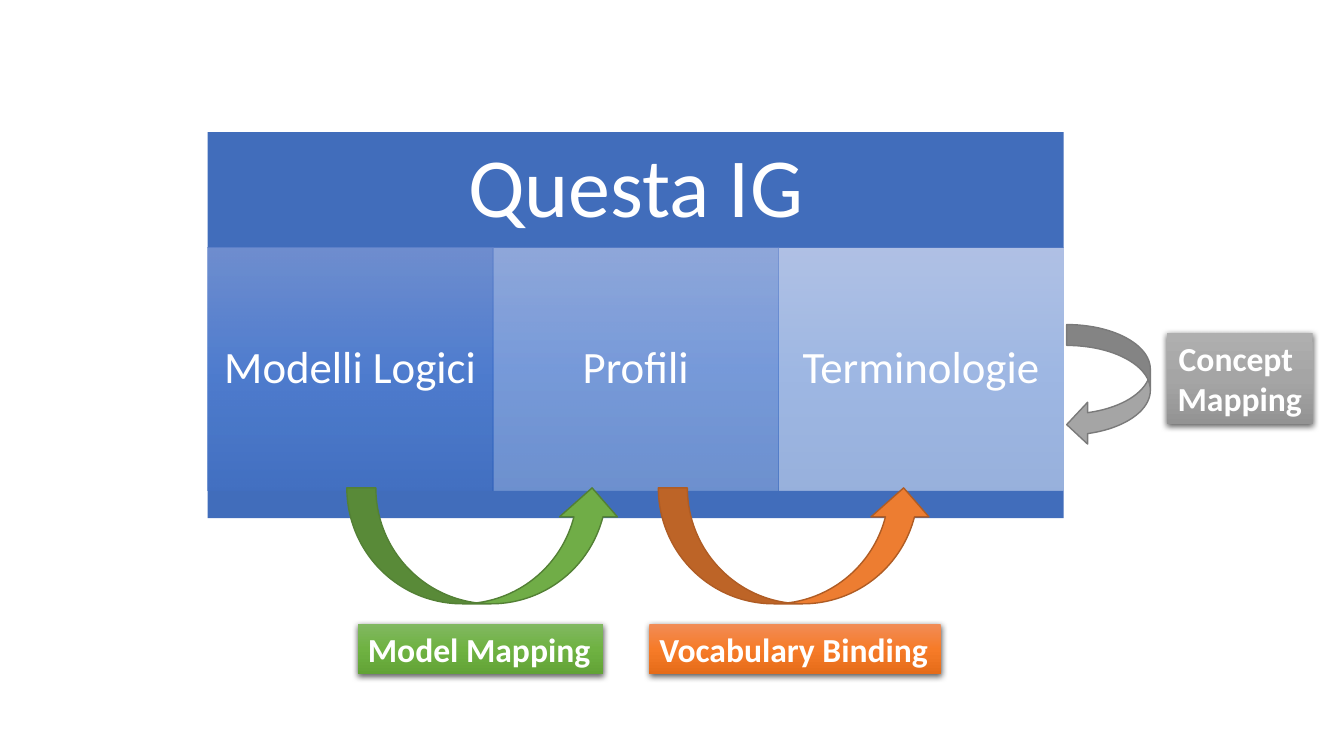
from dataclasses import dataclass

import pptx
import pptx.dml.color
import pptx.enum.shapes
import pptx.enum.text
import pptx.oxml
import pptx.oxml.ns
import pptx.shapes.autoshape
import pptx.util

PX = 9144  # EMU per px, 100 px to the inch
SHAPE = pptx.enum.shapes.MSO_SHAPE
ALIGN = pptx.enum.text.PP_ALIGN
ANCHOR = pptx.enum.text.MSO_ANCHOR
RGB = pptx.dml.color.RGBColor.from_string
Stops = tuple[str, str, str]
Box = tuple[int, int, int, int]


@dataclass(frozen=True)
class Theme:
    font: str = "Calibri"
    text: str = "FFFFFF"
    band: str = "416DBB"
    column: Stops = ("6183CB", "3E70CA", "3062BB")
    green: Stops = ("81B861", "6FB242", "62A336")
    orange: Stops = ("F18C57", "F67B28", "E56C19")
    gray: Stops = ("AFAFAF", "A5A5A5", "939393")
    title_size: int = 60
    column_size: int = 32
    label_size: int = 24


@dataclass(frozen=True)
class Column:
    text: str
    opacity: int


@dataclass(frozen=True)
class Arrow:
    kind: pptx.enum.shapes.MSO_SHAPE
    box: Box
    fill: str
    line: str


@dataclass(frozen=True)
class Label:
    text: str
    box: Box
    stops: Stops
    align: pptx.enum.text.PP_ALIGN = ALIGN.LEFT


THEME = Theme()
LEFT, TOP, COL_W = 206, 131, 283
TITLE_H, COL_H, BASE_H = 115, 241, 27

COLUMNS = [Column("Modelli Logici", 90), Column("Profili", 70), Column("Terminologie", 50)]
ARROWS = [
    Arrow(SHAPE.CURVED_UP_ARROW, (344, 484, 272, 115), "70AD47", "538035"),
    Arrow(SHAPE.CURVED_UP_ARROW, (653, 484, 272, 115), "ED7D31", "AF5C24"),
    Arrow(SHAPE.CURVED_LEFT_ARROW, (1058, 322, 83, 120), "A5A5A5", "7A7A7A"),
]
LABELS = [
    Label("Model Mapping", (355, 619, 243, 50), THEME.green),
    Label("Vocabulary Binding", (644, 619, 289, 50), THEME.orange),
    Label("Concept \nMapping", (1157, 330, 145, 91), THEME.gray, ALIGN.CENTER),
]


def add_shape(s: pptx.slide.Slide, kind: pptx.enum.shapes.MSO_SHAPE,
              box: Box) -> pptx.shapes.autoshape.Shape:
    sp = s.shapes.add_shape(kind, *(v * PX for v in box))
    sp.shadow.inherit = False
    sp.line.fill.background()
    return sp


def fill_solid(sp: pptx.shapes.autoshape.Shape, color: str) -> None:
    sp.fill.solid()
    sp.fill.fore_color.rgb = RGB(color)


def fill_gradient(sp: pptx.shapes.autoshape.Shape, stops: Stops, opacity: int = 100) -> None:
    sp.fill.gradient()
    sp.fill.gradient_angle = 270  # counter-clockwise: runs top to bottom
    stop_list = sp.element.spPr.find(".//" + pptx.oxml.ns.qn("a:gsLst"))
    for old in list(stop_list):
        stop_list.remove(old)
    for i, color in enumerate(stops):
        stop_list.append(pptx.oxml.parse_xml(
            f'<a:gs {pptx.oxml.ns.nsdecls("a")} pos="{i * 50000}"><a:srgbClr val="{color}">'
            f'<a:alpha val="{opacity * 1000}"/></a:srgbClr></a:gs>'))


def add_shadow(sp: pptx.shapes.autoshape.Shape) -> None:
    effects = sp.element.spPr.find(pptx.oxml.ns.qn("a:effectLst"))
    effects.append(pptx.oxml.parse_xml(
        f'<a:outerShdw {pptx.oxml.ns.nsdecls("a")} blurRad="57150" dist="19050" dir="5400000" '
        'algn="ctr" rotWithShape="0"><a:srgbClr val="000000"><a:alpha val="63000"/>'
        '</a:srgbClr></a:outerShdw>'))


def set_text(sp: pptx.shapes.autoshape.Shape, text: str, size: int,
             align: pptx.enum.text.PP_ALIGN = ALIGN.CENTER, bold: bool = False) -> None:
    tf = sp.text_frame
    tf.text = text
    for p in tf.paragraphs:
        p.alignment = align
        for r in p.runs:
            r.font.name = THEME.font
            r.font.size = pptx.util.Pt(size)
            r.font.bold = bold
            r.font.color.rgb = RGB(THEME.text)


def set_block_text(sp: pptx.shapes.autoshape.Shape, text: str, size: int, inset: int) -> None:
    set_text(sp, text, size)
    tf = sp.text_frame
    tf.word_wrap = True
    tf.vertical_anchor = ANCHOR.MIDDLE
    tf.margin_left = tf.margin_right = tf.margin_top = tf.margin_bottom = inset * PX
    tf.paragraphs[0].line_spacing = 0.9


def add_arrow(s: pptx.slide.Slide, arrow: Arrow) -> None:
    sp = add_shape(s, arrow.kind, arrow.box)
    fill_solid(sp, arrow.fill)
    sp.line.color.rgb = RGB(arrow.line)
    sp.line.width = pptx.util.Pt(1)


def add_label(s: pptx.slide.Slide, label: Label) -> None:
    sp = add_shape(s, SHAPE.RECTANGLE, label.box)
    fill_gradient(sp, label.stops)
    add_shadow(sp)
    set_text(sp, label.text, THEME.label_size, label.align, bold=True)
    tf = sp.text_frame
    tf.word_wrap = False
    tf.auto_size = pptx.enum.text.MSO_AUTO_SIZE.SHAPE_TO_FIT_TEXT
    tf.vertical_anchor = ANCHOR.TOP


def main() -> None:
    prs = pptx.Presentation()
    prs.slide_width, prs.slide_height = 1333 * PX, 750 * PX
    s = prs.slides.add_slide(prs.slide_layouts[6])

    # Title band
    width = COL_W * len(COLUMNS)
    title = add_shape(s, SHAPE.RECTANGLE, (LEFT, TOP, width, TITLE_H))
    fill_solid(title, THEME.band)
    set_block_text(title, "Questa IG", THEME.title_size, 25)

    # Columns, each paler than the last
    for i, column in enumerate(COLUMNS):
        sp = add_shape(s, SHAPE.RECTANGLE, (LEFT + i * COL_W, TOP + TITLE_H, COL_W, COL_H))
        fill_gradient(sp, THEME.column, column.opacity)
        set_block_text(sp, column.text, THEME.column_size, 13)

    # Base band
    base = add_shape(s, SHAPE.RECTANGLE, (LEFT, TOP + TITLE_H + COL_H, width, BASE_H))
    fill_solid(base, THEME.band)

    # Mapping arrows and their labels
    for arrow in ARROWS:
        add_arrow(s, arrow)
    for label in LABELS:
        add_label(s, label)

    prs.save("out.pptx")


if __name__ == "__main__":
    main()
